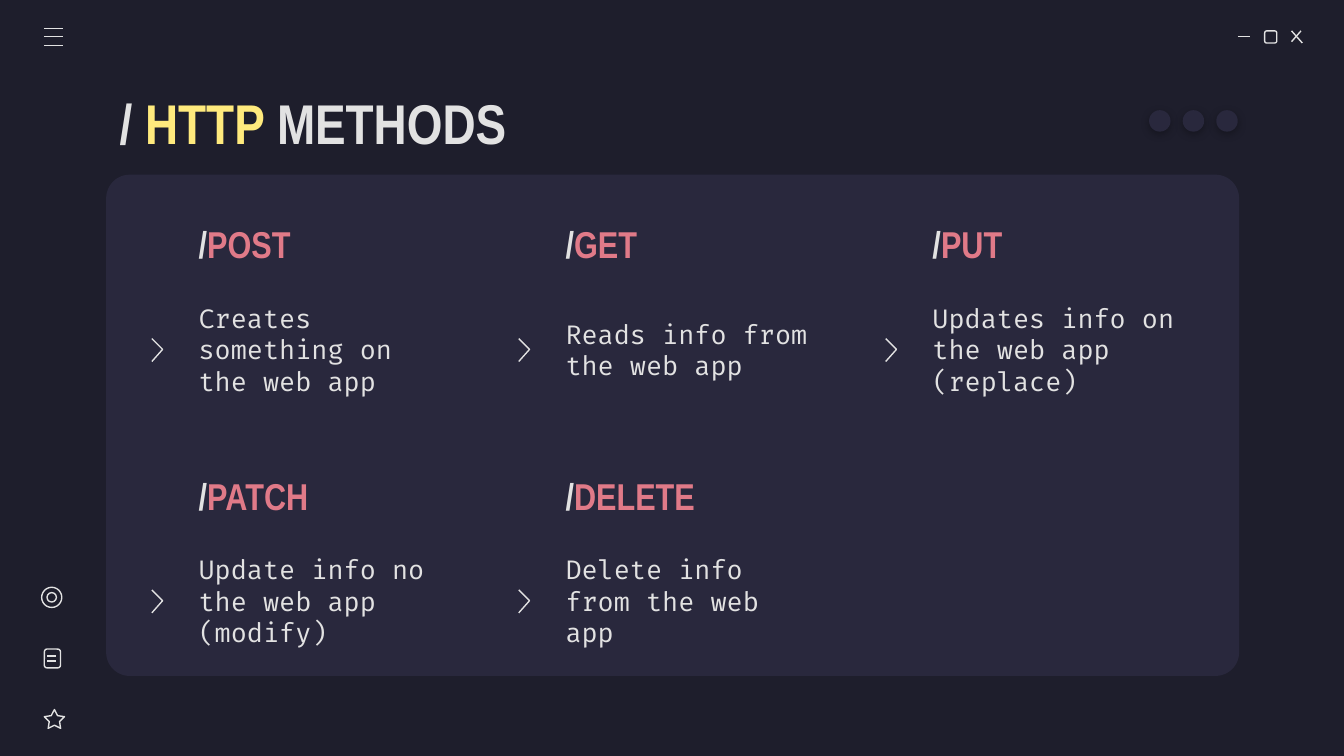
from dataclasses import dataclass

from lxml import etree
from pptx import Presentation, util as u
from pptx.dml import color
from pptx.enum import shapes, text

NS = "http://schemas.openxmlformats.org/drawingml/2006/main"
GEO = shapes.MSO_SHAPE


@dataclass(frozen=True)
class Theme:
    back: str = "1E1E2C"
    panel: str = "29283D"
    light: str = "E2E2E2"
    gold: str = "FFEA7D"
    rose: str = "E07A88"
    head: str = "Arial Narrow"
    body: str = "Fira Code"
    large: float = 30
    mid: float = 20
    small: float = 14
    line: float = 0.75


@dataclass(frozen=True)
class Method:
    name: str
    note: str
    col: int
    row: int


@dataclass(frozen=True)
class Icon:
    kind: GEO
    box: tuple[float, float, float, float]
    adj: float | None = None


T = Theme()
METHODS = [
    Method("POST", "Creates something on the web app", 0, 0),
    Method("GET", "Reads info from the web app", 1, 0),
    Method("PATCH", "Update info no the web app (modify)", 0, 1),
    Method("DELETE", "Delete info from the web app", 1, 1),
    Method("PUT", "Updates info on the web app (replace)", 2, 0),
]
ICONS = [
    Icon(GEO.ROUNDED_RECTANGLE, (9.41, 0.23, 0.09, 0.09), 0.167),
    Icon(GEO.STAR_5_POINT, (0.33, 5.28, 0.15, 0.14), 0.254),
    Icon(GEO.ROUNDED_RECTANGLE, (0.33, 4.83, 0.12, 0.14), 0.167),
    Icon(GEO.OVAL, (0.31, 4.37, 0.15, 0.15)),
    Icon(GEO.OVAL, (0.35, 4.41, 0.07, 0.07)),
]
MINUS = [(9.21, 0.27, 9.3, 0.27)]
CROSS = [(9.61, 0.23, 9.69, 0.32), (9.68, 0.23, 9.61, 0.31)]
MENU = [(0.33, y, 0.47, y) for y in (0.21, 0.27, 0.34)]
PAGE = [(0.35, y, 0.42, y) for y in (4.88, 4.92)]

deck = Presentation()
deck.slide_width = u.Inches(10)
deck.slide_height = u.Inches(10 * 9 / 16)
slide = deck.slides.add_slide(deck.slide_layouts[5])
slide.background.fill.solid()
slide.background.fill.fore_color.rgb = color.RGBColor.from_string(T.back)


def apply(item, vals: dict) -> None:
    for key, val in vals.items():
        setattr(item, key, val)


def stroke(item) -> None:
    item.line.color.rgb = color.RGBColor.from_string(T.light)
    item.line.width = u.Pt(T.line)


def draw(icon: Icon, fill: str | None = None):
    item = slide.shapes.add_shape(icon.kind, *map(u.Inches, icon.box))
    item.shadow.inherit = False
    if icon.adj is not None:
        item.adjustments[0] = icon.adj
    if fill:
        item.fill.solid()
        item.fill.fore_color.rgb = color.RGBColor.from_string(fill)
        item.line.fill.background()
    else:
        item.fill.background()
        stroke(item)
    return item


def rule(ends: tuple[float, float, float, float]) -> None:
    item = slide.shapes.add_connector(shapes.MSO_CONNECTOR.STRAIGHT, *map(u.Inches, ends))
    stroke(item)
    etree.SubElement(item.element.spPr, f"{{{NS}}}effectLst")


def arrow(x: float, y: float) -> None:
    pen = slide.shapes.build_freeform(u.Inches(x), u.Inches(y))
    pts = [(x + 0.08, y + 0.08), (x, y + 0.17)]
    pen.add_line_segments([(u.Inches(a), u.Inches(b)) for a, b in pts], close=False)
    item = pen.convert_to_shape()
    item.shadow.inherit = False
    item.fill.background()
    stroke(item)


def dot(x: float) -> None:
    item = draw(Icon(GEO.OVAL, (x, 0.82, 0.16, 0.16)), T.panel)
    glow = item.element.spPr.find(f"{{{NS}}}effectLst")
    glow.append(etree.fromstring(
        f'<a:outerShdw xmlns:a="{NS}" blurRad="57150" dist="19050" dir="5400000" '
        'algn="bl" rotWithShape="0"><a:srgbClr val="000000"><a:alpha val="30000"/>'
        '</a:srgbClr></a:outerShdw>'))


def write(item, box: tuple, runs: list[tuple[str, str]], face: str, size: float, bold: bool) -> None:
    apply(item, dict(zip(("left", "top", "width", "height"), map(u.Inches, box))))
    pad = u.Inches(0.1)
    frame = item.text_frame
    apply(frame, {
        "word_wrap": True, "auto_size": text.MSO_AUTO_SIZE.NONE,
        "vertical_anchor": text.MSO_ANCHOR.MIDDLE,
        "margin_left": pad, "margin_right": pad, "margin_top": pad, "margin_bottom": pad,
    })
    para = frame.paragraphs[0]
    para.alignment = text.PP_ALIGN.LEFT
    for words, tint in runs:
        run = para.add_run()
        run.text = words
        apply(run.font, {"name": face, "size": u.Pt(size), "bold": bold})
        run.font.color.rgb = color.RGBColor.from_string(tint)


def label(box: tuple, runs: list[tuple[str, str]], face: str, size: float, bold: bool) -> None:
    item = slide.shapes.add_textbox(*map(u.Inches, box))
    write(item, box, runs, face, size, bold)


def card(m: Method) -> None:
    x, y = 1.38 + 2.73 * m.col, 1.48 + 1.87 * m.row
    label((x, y, 2, 0.67), [("/", T.light), (m.name, T.rose)], T.head, T.mid, True)
    label((x, y + 0.73, 2, 0.78), [(m.note, T.light)], T.body, T.small, False)
    arrow(x - 0.25, y + 1.04)


draw(Icon(GEO.ROUNDED_RECTANGLE, (0.79, 1.3, 8.43, 3.73), 0.047), T.panel)
for ends in MINUS + CROSS + MENU + PAGE:
    rule(ends)
for icon in ICONS:
    draw(icon)
for method in METHODS:
    card(method)
write(slide.shapes.title, (0.79, 0.59, 8.43, 0.63),
      [("/", T.light), (" HTTP ", T.gold), ("METHODS", T.light)], T.head, T.large, True)
for step in range(3):
    dot(9.05 - 0.25 * step)

deck.save("out.pptx")
